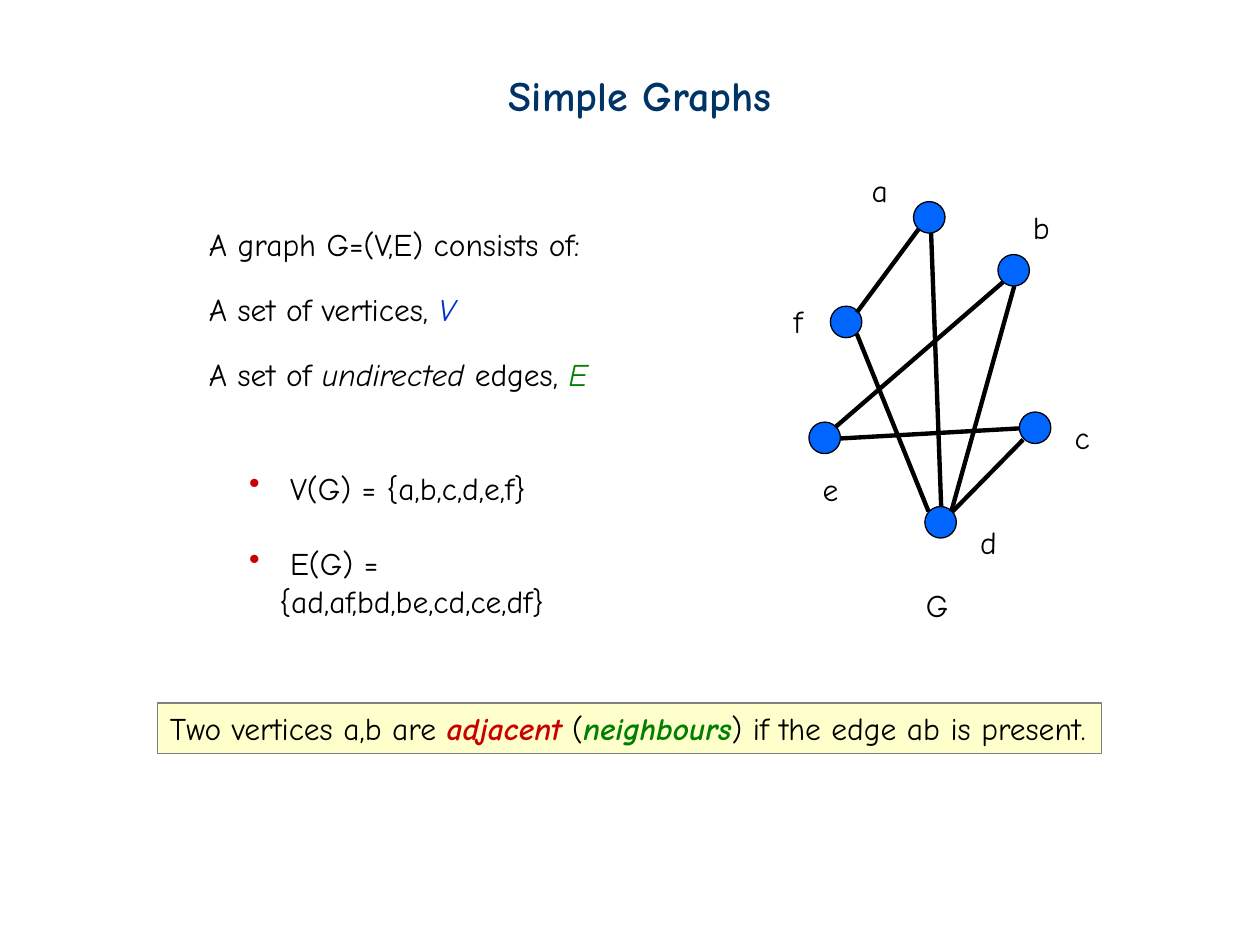
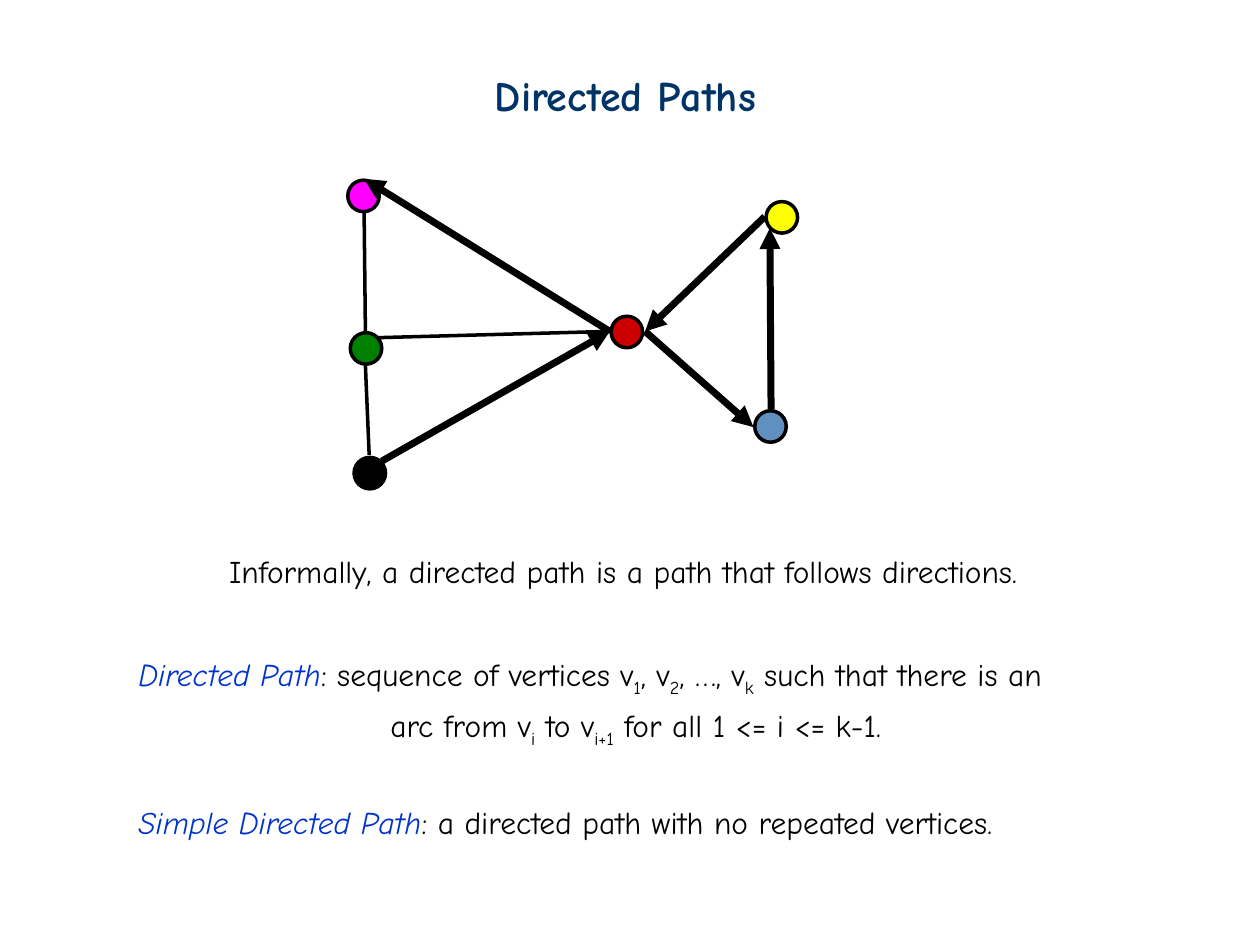
from dataclasses import dataclass

from lxml.etree import SubElement
from pptx import Presentation
from pptx.dml.color import RGBColor
from pptx.enum.shapes import MSO_CONNECTOR, MSO_SHAPE
from pptx.enum.text import MSO_ANCHOR, MSO_AUTO_SIZE, PP_ALIGN
from pptx.oxml.ns import qn
from pptx.util import Emu, Pt


@dataclass(frozen=True)
class Theme:
    font: str = "Comic Neue"
    title_size: int = 24
    body_size: int = 18
    navy: str = "003366"
    black: str = "000000"
    blue: str = "0033CC"
    green: str = "008000"
    red: str = "CC0000"
    node: str = "0066FF"
    yellow: str = "FFFF00"
    steel: str = "6090BF"
    magenta: str = "FF00FF"
    note_fill: str = "FFFFCC"
    note_line: str = "808080"


T = Theme()
NODE = 25  # vertex diameter
LINE_H = 40  # height of a one-line box


def px(n):
    """100 px to the inch."""
    return Emu(n * 9144)


def rgb(value):
    return RGBColor.from_string(value)


# ---- Text ----
def add_runs(p, runs, size=T.body_size):
    """Each run is a string or (text, styles); styles: color, bold, italic, sub."""
    for run in runs:
        text, style = (run, {}) if isinstance(run, str) else run
        r = p.add_run()
        r.text = text
        r.font.name = T.font
        r.font.size = Pt(size)
        r.font.color.rgb = rgb(style.get("color", T.black))
        r.font.bold = style.get("bold", False)
        r.font.italic = style.get("italic", False)
        if style.get("sub"):
            r._r.get_or_add_rPr().set("baseline", "-25000")


def fill_text(sp, paragraphs, size=T.body_size, wrap=False, before=0, spacing=None):
    tf = sp.text_frame
    tf.word_wrap = wrap
    tf.auto_size = MSO_AUTO_SIZE.NONE if wrap else MSO_AUTO_SIZE.SHAPE_TO_FIT_TEXT
    tf.vertical_anchor = MSO_ANCHOR.TOP
    for i, runs in enumerate(paragraphs):
        p = tf.add_paragraph() if i else tf.paragraphs[0]
        p.alignment = PP_ALIGN.LEFT
        if i:
            p.space_before = Pt(before)
            if spacing:
                p.line_spacing = spacing
        add_runs(p, runs, size)
    return tf


def add_text(slide, x, y, w, h, paragraphs, **options):
    sp = slide.shapes.add_textbox(px(x), px(y), px(w), px(h))
    return fill_text(sp, paragraphs, **options)


def add_title(slide, x, text):
    add_text(slide, x, 50, 229, 50, [[(text, {"color": T.navy, "bold": True})]],
             size=T.title_size)


def add_bullet(p, indent):
    pPr = p._p.get_or_add_pPr()
    pPr.set("marL", str(px(indent)))
    pPr.set("indent", str(-px(indent)))
    SubElement(SubElement(pPr, qn("a:buClr")), qn("a:srgbClr")).set("val", T.red)
    SubElement(pPr, qn("a:buChar")).set("char", "•")


# ---- Graph parts ----
def add_box(shapes, kind, x, y, w, h, fill, line, width):
    sp = shapes.add_shape(kind, px(x), px(y), px(w), px(h))
    sp.shadow.inherit = False
    sp.fill.solid()
    sp.fill.fore_color.rgb = rgb(fill)
    sp.line.color.rgb = rgb(line)
    sp.line.width = Pt(width)
    return sp


def add_node(shapes, x, y, fill, width):
    add_box(shapes, MSO_SHAPE.OVAL, x, y, NODE, NODE, fill, T.black, width)


def add_edge(shapes, x, y, ends, width, arrow=False):
    x1, y1, x2, y2 = ends
    c = shapes.add_connector(MSO_CONNECTOR.STRAIGHT,
                             px(x + x1), px(y + y1), px(x + x2), px(y + y2))
    c.line.color.rgb = rgb(T.black)
    c.line.width = Pt(width)
    if arrow:
        SubElement(c.line._get_or_add_ln(), qn("a:tailEnd")).set("type", "triangle")
    SubElement(c._element.spPr, qn("a:effectLst"))


# ---- Slide 1: simple graphs ----
def draw_simple_graph(slide, x, y):
    # name: node position, label position
    vertices = {
        "a": ((105, 29), (62, 0)),
        "b": ((172, 71), (190, 29)),
        "c": ((189, 196), (223, 196)),
        "d": ((114, 271), (148, 279)),
        "e": ((22, 204), (23, 237)),
        "f": ((39, 112), (0, 104)),
    }
    edges = {
        "be": (43, 208, 176, 93),
        "ce": (47, 217, 189, 209),
        "af": (60, 117, 109, 51),
        "bd": (135, 275, 185, 96),
        "cd": (136, 275, 192, 218),
        "ad": (127, 271, 119, 54),
        "df": (60, 134, 117, 275),
    }
    label_widths = {"c": 32, "e": 32, "f": 27, "G": 38}

    nodes = slide.shapes.add_group_shape().shapes
    for (nx, ny), _ in vertices.values():
        add_node(nodes, x + nx, y + ny, T.node, 0.75)
    lines = slide.shapes.add_group_shape().shapes
    for ends in edges.values():
        add_edge(lines, x, y, ends, 2.5)

    labels = {name: label for name, (_, label) in vertices.items()}
    labels["G"] = (105, 329)
    for name, (lx, ly) in labels.items():
        add_text(slide, x + lx, y + ly, label_widths.get(name, 33), LINE_H, [[name]])


def draw_definition(slide, x, y):
    add_text(slide, x, y, 377, 159, [
        ["A graph G=(V,E) consists of:"],
        ["A set of vertices, ", ("V", {"color": T.blue, "italic": True})],
        ["A set of", (" undirected", {"italic": True}), " edges, ",
         ("E", {"color": T.green, "italic": True})],
    ], wrap=True, before=4.5, spacing=1.5)


def draw_sets(slide, x, y):
    tf = add_text(slide, x, y, 326, 100, [
        [" V(G) = {a,b,c,d,e,f}"],
        [" E(G) = {ad,af,bd,be,cd,ce,df}"],
    ], wrap=True, before=21.7)
    for p in tf.paragraphs:
        add_bullet(p, 24)


def draw_note(slide, x, y):
    sp = add_box(slide.shapes, MSO_SHAPE.RECTANGLE, x, y, 749, LINE_H,
                 T.note_fill, T.note_line, 0.75)
    strong = {"bold": True, "italic": True}
    fill_text(sp, [[
        "Two vertices a,b are ", ("adjacent", {"color": T.red, **strong}),
        " (", ("neighbours", {"color": T.green, **strong}),
        ") if the edge ab is present.",
    ]])


def build_simple_graphs(slide):
    add_title(slide, 394, "Simple Graphs")
    draw_definition(slide, 156, 174)
    draw_sets(slide, 188, 367)
    draw_simple_graph(slide, 620, 131)
    draw_note(slide, 125, 558)


# ---- Slide 2: directed paths ----
def draw_directed_graph(slide, x, y):
    nodes = [
        (332, 18, T.yellow),
        (323, 184, T.steel),
        (2, 122, T.green),
        (0, 1, T.magenta),
        (5, 221, T.black),
        (209, 109, T.red),
    ]
    arcs = [
        (336, 183, 335, 39),  # steel to yellow
        (331, 30, 236, 121),  # yellow to red
        (236, 121, 322, 197),  # red to steel
        (27, 224, 208, 121),  # black to red
        (208, 121, 13, 0),  # red to magenta
    ]
    plain_edges = [
        (14, 148, 17, 219),  # green to black
        (24, 126, 208, 121),  # green to red
        (13, 27, 14, 121),  # magenta to green
    ]
    for nx, ny, fill in nodes:
        add_node(slide.shapes, x + nx, y + ny, fill, 2)
    for ends in arcs:
        add_edge(slide.shapes, x, y, ends, 4, arrow=True)
    for ends in plain_edges:
        add_edge(slide.shapes, x, y, ends, 2)


def draw_path_definitions(slide, x, y):
    def sub(text):
        return text, {"sub": True}

    def term(text):
        return text, {"color": T.blue, "italic": True}

    tf = add_text(slide, x, y, 858, 52, [
        [term("Directed Path"), ": sequence of vertices v", sub("1"), ", v", sub("2"),
         ", …, v", sub("k"), " such that there is an"],
        ["arc from v", sub("i"), " to v", sub("i+1"), " for all 1 <= i <= k-1."],
    ], wrap=True, before=4.5)
    tf.paragraphs[1]._p.get_or_add_pPr().set("marL", str(px(200)))

    add_text(slide, x, y + 117, 858, 52, [
        [term("Simple Directed Path"), ": a directed path with no repeated vertices."],
    ], wrap=True)


def build_directed_paths(slide):
    add_title(slide, 383, "Directed Paths")
    draw_directed_graph(slide, 276, 142)
    add_text(slide, 172, 433, 648, LINE_H,
             [["Informally, a directed path is a path that follows directions."]])
    draw_path_definitions(slide, 100, 515)


def main():
    prs = Presentation()
    prs.slide_width, prs.slide_height = px(1000), px(750)
    for build in (build_simple_graphs, build_directed_paths):
        build(prs.slides.add_slide(prs.slide_layouts[6]))
    prs.save("out.pptx")


if __name__ == "__main__":
    main()
